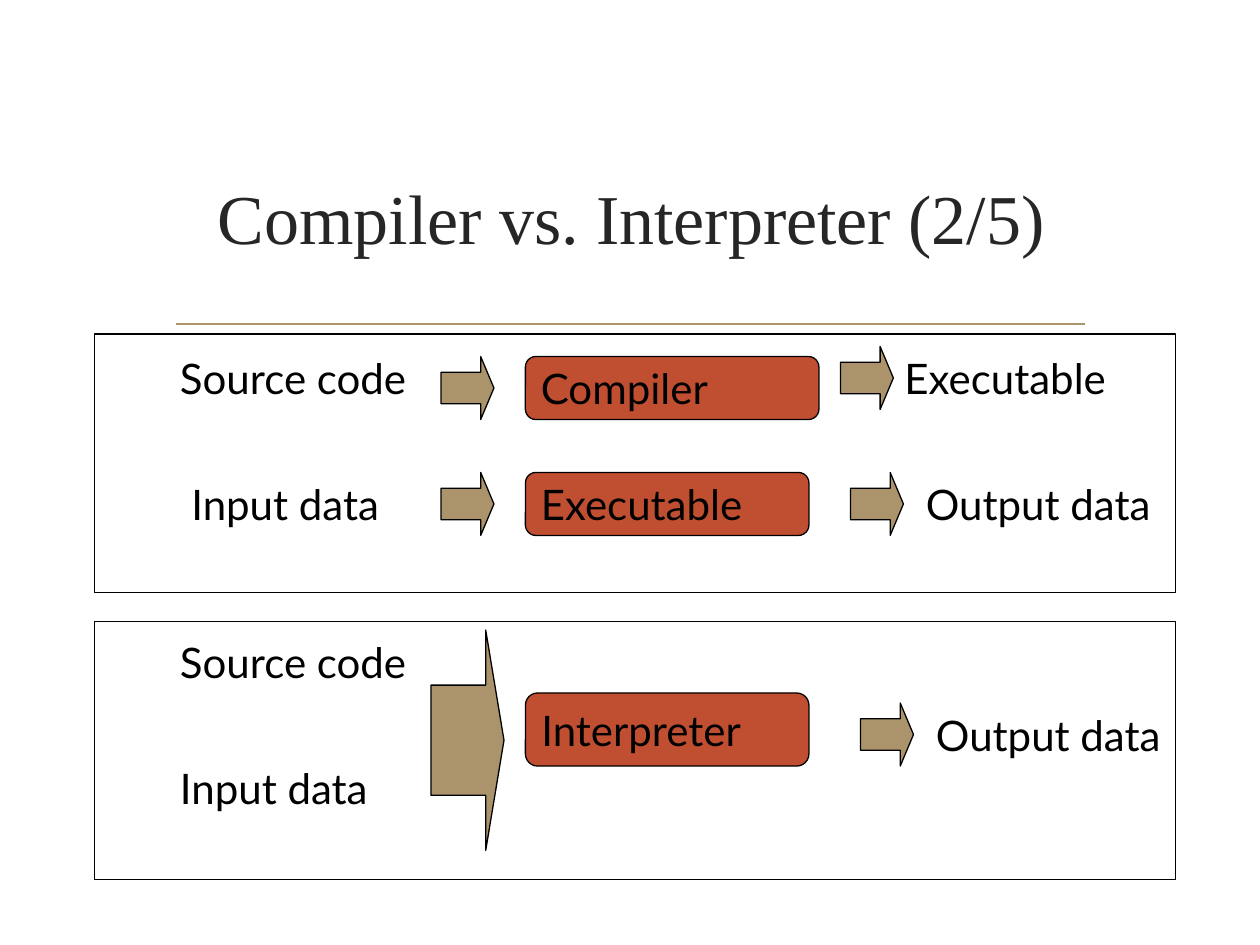
from dataclasses import dataclass

from lxml import etree
from pptx import Presentation
from pptx import util as u
from pptx.dml.color import RGBColor
from pptx.enum import shapes, text
from pptx.oxml import ns


@dataclass(frozen=True)
class Theme:
    ink: RGBColor = RGBColor(0x00, 0x00, 0x00)
    heading: RGBColor = RGBColor(0x26, 0x26, 0x26)
    rust: RGBColor = RGBColor(0xC0, 0x4F, 0x32)
    sand: RGBColor = RGBColor(0xAB, 0x94, 0x6B)
    heading_font: str = "Times New Roman"
    body_font: str = "Lato"
    heading_size: int = 40
    body_size: int = 24
    outline: float = 0.75
    rule: float = 1.25


class Diagram:
    def __init__(self, slide, theme):
        self.slide = slide
        self.theme = theme

    def set_wording(self, frame, wording, font, size, color, align):
        frame.text = wording
        frame.word_wrap = True
        paragraph = frame.paragraphs[0]
        paragraph.alignment = align
        for run in paragraph.runs:
            run.font.name = font
            run.font.size = u.Pt(size)
            run.font.color.rgb = color

    def set_body(self, frame, wording):
        self.set_wording(frame, wording, self.theme.body_font, self.theme.body_size,
                         self.theme.ink, text.PP_ALIGN.LEFT)

    def title(self, wording, left, top, width, height):
        heading = self.slide.shapes.title
        heading.left, heading.top = u.Inches(left), u.Inches(top)
        heading.width, heading.height = u.Inches(width), u.Inches(height)
        self.set_wording(heading.text_frame, wording, self.theme.heading_font,
                         self.theme.heading_size, self.theme.heading,
                         text.PP_ALIGN.CENTER)
        heading.text_frame.vertical_anchor = text.MSO_ANCHOR.MIDDLE

    def rule(self, left, right, y):
        rule = self.slide.shapes.add_connector(
            shapes.MSO_CONNECTOR.STRAIGHT,
            u.Inches(left), u.Inches(y), u.Inches(right), u.Inches(y))
        rule.line.color.rgb = self.theme.sand
        rule.line.width = u.Pt(self.theme.rule)
        etree.SubElement(rule._element.spPr, ns.qn("a:effectLst"))

    def outlined(self, preset, left, top, width, height, fill=None):
        figure = self.slide.shapes.add_shape(
            preset, u.Inches(left), u.Inches(top), u.Inches(width), u.Inches(height))
        figure.shadow.inherit = False
        if fill is None:
            figure.fill.background()
        else:
            figure.fill.solid()
            figure.fill.fore_color.rgb = fill
        figure.line.color.rgb = self.theme.ink
        figure.line.width = u.Pt(self.theme.outline)
        return figure

    def frame(self, left, top, width, height):
        self.outlined(shapes.MSO_SHAPE.RECTANGLE, left, top, width, height)

    def step(self, wording, left, top, width, height):
        step = self.outlined(shapes.MSO_SHAPE.ROUNDED_RECTANGLE,
                             left, top, width, height, self.theme.rust)
        step.text_frame.vertical_anchor = text.MSO_ANCHOR.MIDDLE
        self.set_body(step.text_frame, wording)

    def arrow(self, left, top, width=0.42, height=0.5):
        arrow = self.outlined(shapes.MSO_SHAPE.RIGHT_ARROW,
                              left, top, width, height, self.theme.sand)
        arrow.adjustments[0] = 0.5
        arrow.adjustments[1] = 0.25

    def label(self, wording, left, top, width):
        label = self.slide.shapes.add_textbox(
            u.Inches(left), u.Inches(top), u.Inches(width), u.Inches(0.5))
        self.set_body(label.text_frame, wording)


def main():
    deck = Presentation()
    deck.slide_width, deck.slide_height = u.Inches(10), u.Inches(7.5)
    title_only = deck.slide_layouts[5]
    diagram = Diagram(deck.slides.add_slide(title_only), Theme())

    diagram.rule(1.4, 8.61, 2.57)
    diagram.title("Compiler vs. Interpreter (2/5)", 1.29, 1, 7.44, 1.43)

    step_left = 4.17
    for wording, top, width, height in (
        ("Compiler", 2.83, 2.33, 0.5),
        ("Executable", 3.75, 2.25, 0.5),
        ("Interpreter", 5.5, 2.25, 0.58),
    ):
        diagram.step(wording, step_left, top, width, height)

    for wording, left, top, width in (
        ("Source code", 1.33, 2.75, 2.25),
        ("Executable", 7.08, 2.75, 2.42),
        ("Input data", 1.42, 3.75, 2.08),
        ("Output data", 7.25, 3.75, 2.25),
        ("Source code", 1.33, 5, 2.25),
        ("Input data", 1.33, 6, 2.08),
        ("Output data", 7.33, 5.58, 2.25),
    ):
        diagram.label(wording, left, top, width)

    for left, top in ((3.5, 2.83), (3.5, 3.75), (6.75, 3.75), (6.67, 2.75), (6.83, 5.58)):
        diagram.arrow(left, top)
    diagram.arrow(3.42, 5, 0.58, 1.75)

    for top in (2.65, 4.93):
        diagram.frame(0.75, top, 8.58, 2.05)

    deck.save("out.pptx")


if __name__ == "__main__":
    main()
